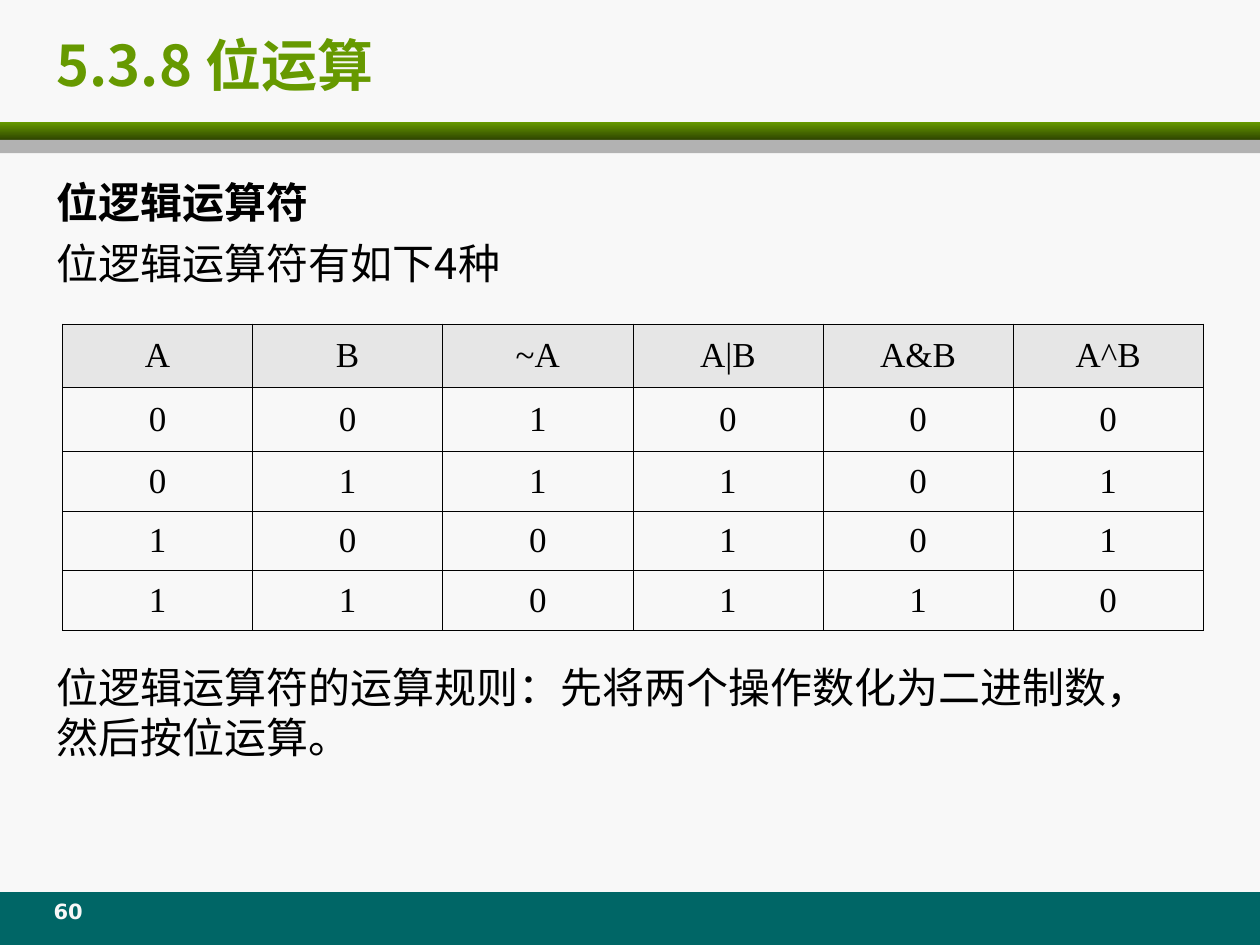
from pptx import Presentation
from pptx.dml.color import RGBColor
from pptx.enum.shapes import MSO_SHAPE
from pptx.enum.text import MSO_ANCHOR, MSO_AUTO_SIZE, PP_ALIGN
from pptx.oxml.ns import qn
from pptx.util import Pt
from lxml.etree import SubElement

COLORS = {
    "page": "F8F8F8", "teal": "006666", "green": "669900", "moss": "2F4600",
    "gray": "B2B2B2", "head": "E6E6E6", "ink": "000000",
}
SANS, SERIF, LABEL = "Noto Sans CJK SC", "Times New Roman", "DejaVu Sans"

TRUTH = [
    ["A", "B", "~A", "A|B", "A&B", "A^B"],
    ["0", "0", "1", "0", "0", "0"],
    ["0", "1", "1", "1", "0", "1"],
    ["1", "0", "0", "1", "0", "1"],
    ["1", "1", "0", "1", "1", "0"],
]
HEIGHTS = [36, 37, 34, 34, 34]

# Text, bold, space before; the last gap makes room for the table
LINES = [
    ("位逻辑运算符", True, 0),
    ("位逻辑运算符有如下4种", False, 6),
    ("位逻辑运算符的运算规则：先将两个操作数化为二进制数，然后按位运算。", False, 213),
]


def tint(name):
    return RGBColor.from_string(COLORS[name])


def assign(target, values):
    for key, value in values.items():
        setattr(target, key, value)


class Deck:
    def __init__(self):
        self.file = Presentation()
        assign(self.file, {"slide_width": Pt(720), "slide_height": Pt(540)})
        self.slide = self.file.slides.add_slide(self.file.slide_layouts[1])
        fill = self.slide.background.fill
        fill.solid()
        fill.fore_color.rgb = tint("page")

    def label(self, para, text, size, font, color="ink", bold=False, **form):
        """Fill one paragraph; form holds its paragraph settings."""
        assign(para, form)
        run = para.add_run()
        run.text = text
        assign(run.font, {"size": Pt(size), "name": font, "bold": bold})
        run.font.color.rgb = tint(color)
        SubElement(run.font._element, qn("a:ea"), typeface=font)

    def place(self, shape, left, top, width, height, anchor):
        assign(shape, {"left": Pt(left), "top": Pt(top),
                       "width": Pt(width), "height": Pt(height)})
        frame = shape.text_frame
        assign(frame, {"word_wrap": True, "vertical_anchor": anchor,
                       "auto_size": MSO_AUTO_SIZE.NONE})
        return frame

    def bar(self, top, height, color, end=None):
        """Draw a full-width band, shaded down to the end colour if given."""
        shape = self.slide.shapes.add_shape(
            MSO_SHAPE.RECTANGLE, 0, Pt(top), Pt(720), Pt(height))
        shape.shadow.inherit = False
        shape.line.fill.background()
        if end:
            shape.fill.gradient()
            shape.fill.gradient_angle = 270
            for stop, name in zip(shape.fill.gradient_stops, (color, end)):
                stop.color.rgb = tint(name)
        else:
            shape.fill.solid()
            shape.fill.fore_color.rgb = tint(color)

    def title(self, text):
        frame = self.place(self.slide.shapes.title, 25.2, 15.1, 628, 42.5,
                           MSO_ANCHOR.MIDDLE)
        self.label(frame.paragraphs[0], text, 32, SANS, "green", True,
                   alignment=PP_ALIGN.LEFT)

    def body(self, lines):
        frame = self.place(self.slide.placeholders[1], 25.2, 97, 652, 407,
                           MSO_ANCHOR.TOP)
        for i, (text, bold, gap) in enumerate(lines):
            para = frame.add_paragraph() if i else frame.paragraphs[0]
            props = para._p.get_or_add_pPr()
            props.set("marL", "0")
            props.set("indent", "0")
            SubElement(props, qn("a:buNone"))
            self.label(para, text, 24, SANS, bold=bold,
                       space_before=Pt(gap), line_spacing=Pt(29))

    def border(self, cell):
        props = cell._tc.get_or_add_tcPr()
        for i, side in enumerate(("lnL", "lnR", "lnT", "lnB")):
            line = props.makeelement(qn(f"a:{side}"), {"w": str(Pt(0.45))})
            props.insert(i, line)
            fill = SubElement(line, qn("a:solidFill"))
            SubElement(fill, qn("a:srgbClr"), val=COLORS["ink"])

    def table(self, rows, heights, left, top, width):
        table = self.slide.shapes.add_table(
            len(rows), len(rows[0]), Pt(left), Pt(top), Pt(width),
            Pt(sum(heights))).table
        assign(table, {"first_row": False, "horz_banding": False})
        for r, (row, height) in enumerate(zip(rows, heights)):
            table.rows[r].height = Pt(height)
            for c, text in enumerate(row):
                cell = table.cell(r, c)
                cell.vertical_anchor = MSO_ANCHOR.MIDDLE
                if r == 0:
                    cell.fill.solid()
                    cell.fill.fore_color.rgb = tint("head")
                else:
                    cell.fill.background()
                self.border(cell)
                self.label(cell.text_frame.paragraphs[0], text, 20, SERIF,
                           alignment=PP_ALIGN.CENTER)

    def number(self, text):
        box = self.slide.shapes.add_textbox(0, 0, 0, 0)
        frame = self.place(box, 18, 510, 42, 24, MSO_ANCHOR.TOP)
        self.label(frame.paragraphs[0], text, 12, LABEL, "page", True,
                   alignment=PP_ALIGN.CENTER)


def main():
    deck = Deck()
    deck.bar(509.8, 30.2, "teal")
    deck.bar(69.8, 10.1, "green", "moss")
    deck.bar(79.9, 7.7, "gray")
    deck.title("5.3.8 位运算")
    deck.body(LINES)
    deck.table(TRUTH, HEIGHTS, 35.7, 185.2, 652)
    deck.number("60")
    deck.file.save("out.pptx")


if __name__ == "__main__":
    main()
